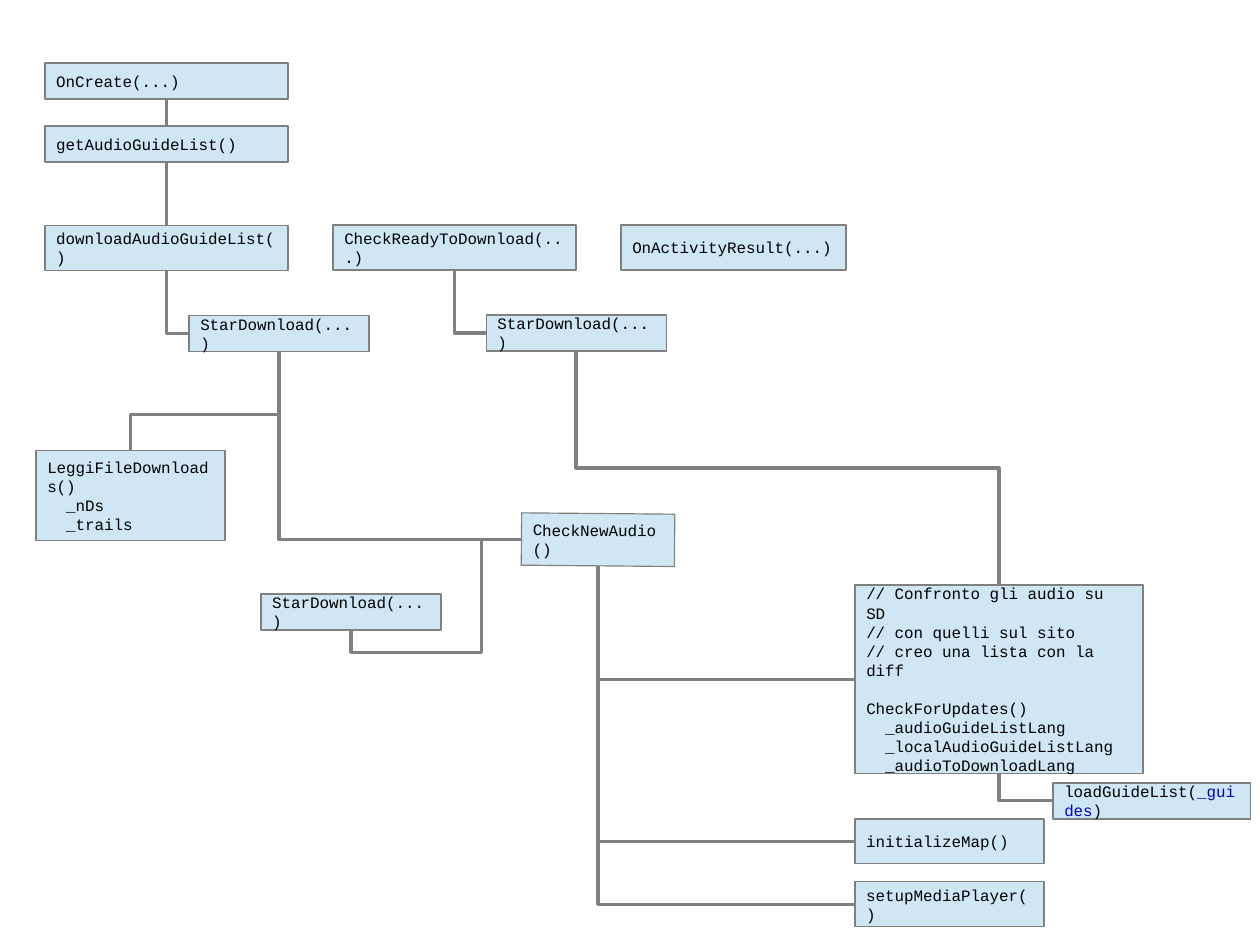
from dataclasses import dataclass
from typing import NamedTuple

from lxml import etree
from pptx import Presentation
from pptx import util as u
from pptx.dml.color import RGBColor
from pptx.enum import shapes, text
from pptx.oxml import ns

Pt = u.Pt
TOP, LEFT, BOTTOM = 0, 1, 2


@dataclass(frozen=True)
class Theme:
    """Colours, type and standard box sizes of the call graph."""
    fill: RGBColor = RGBColor(0xCF, 0xE7, 0xF5)
    line: RGBColor = RGBColor(0x80, 0x80, 0x80)
    ink: RGBColor = RGBColor(0, 0, 0)
    field: RGBColor = RGBColor(0, 0, 0xC0)
    face: str = "Courier New"
    size: int = 10
    blank_line: int = 12
    low: float = 22.7
    high: float = 28.35


THEME = Theme()


class Box(NamedTuple):
    """A rectangle in points."""
    left: float
    top: float
    width: float
    height: float

    def inner(self, dx, dy, width, height):
        """Return a rectangle offset from this one's corner."""
        return Box(self.left + dx, self.top + dy, width, height)


def add_call(slide, box, *lines, field="", gap_before=None):
    """Draw one call box with a paragraph for each line of code."""
    call = slide.shapes.add_shape(shapes.MSO_SHAPE.RECTANGLE, *map(Pt, box))
    call.shadow.inherit = False
    call.fill.solid()
    call.fill.fore_color.rgb = THEME.fill
    call.line.color.rgb = THEME.line
    call.line.width = Pt(0)
    frame = call.text_frame
    frame.word_wrap = True
    frame.vertical_anchor = text.MSO_ANCHOR.MIDDLE
    for number, code in enumerate(lines):
        paragraph = frame.add_paragraph() if number else frame.paragraphs[0]
        paragraph.alignment = text.PP_ALIGN.LEFT
        if number == gap_before:
            paragraph.space_before = Pt(THEME.blank_line)
        paragraph.font.name = THEME.face
        paragraph.font.size = Pt(THEME.size)
        paragraph.font.color.rgb = THEME.ink
        for part in code.partition(field) if field else (code,):
            run = paragraph.add_run()
            run.text = part
            if part == field:
                run.font.color.rgb = THEME.field
    return call


def add_link(slide, caller, callee, side=LEFT, bends=()):
    """Join a caller's bottom to a side of the callee, bent where needed."""
    kinds = shapes.MSO_CONNECTOR
    straight = side == TOP and not bends
    link = slide.shapes.add_connector(
        kinds.STRAIGHT if straight else kinds.ELBOW, 0, 0, 0, 0)
    link.begin_connect(caller, BOTTOM)
    link.end_connect(callee, side)
    link.line.color.rgb = THEME.line
    link.line.width = Pt(0)
    etree.SubElement(link.element.spPr, ns.qn("a:effectLst"))
    if not straight:
        bend_link(link, bends)
    return link


def bend_link(link, bends):
    """Turn an elbow so that it leaves its caller vertically."""
    dx, dy = link.end_x - link.begin_x, link.end_y - link.begin_y
    center_x = (link.begin_x + link.end_x) // 2
    center_y = (link.begin_y + link.end_y) // 2
    link.width, link.height = abs(dy), abs(dx)
    link.left = center_x - link.width // 2
    link.top = center_y - link.height // 2
    frame = link.element.spPr.find(ns.qn("a:xfrm"))
    frame.set("rot", "5400000")
    frame.set("flipH", str(int(dy < 0)))
    frame.set("flipV", str(int(dx > 0)))
    outline = link.element.spPr.find(ns.qn("a:prstGeom"))
    outline.set("prst", f"bentConnector{2 + len(bends)}")
    guides = outline.find(ns.qn("a:avLst"))
    if guides is None:
        guides = etree.SubElement(outline, ns.qn("a:avLst"))
    for number, share in enumerate(bends, 1):
        name = "adj" if len(bends) == 1 else "adj"
        guide = etree.SubElement(guides, ns.qn("a:gd"))
        guide.set("name", f"{name}{number}")
        guide.set("fmla", f"val {round(share * 100000)}")


def add_startup(slide, box):
    """Draw the start-up chain and return its download call."""
    create, get_list = (
        add_call(slide, box.inner(5.65, dy, 153.1, THEME.low), code)
        for dy, code in ((0, "OnCreate(...)"), (39.7, "getAudioGuideList()")))
    download_list = add_call(slide, box.inner(5.65, 102.3, 153.1, THEME.high),
                             "downloadAudioGuideList()")
    download = add_call(slide, box.inner(96.35, 159, 113.4, THEME.low),
                        "StarDownload(...)")
    read_file = add_call(slide, box.inner(0, 244.05, 119.05, 56.7),
                         "LeggiFileDownloads()", "  _nDs", "  _trails")
    add_link(slide, create, get_list, TOP)
    add_link(slide, get_list, download_list, TOP)
    add_link(slide, download_list, download)
    add_link(slide, download, read_file, TOP, (0.636,))
    return download


def add_ready_check(slide, box):
    """Draw the activity callbacks and return their download call."""
    ready = add_call(slide, box.inner(0, 0, 153.1, THEME.high),
                     "CheckReadyToDownload(...)")
    add_call(slide, box.inner(181.4, 0, 141.75, THEME.high),
             "OnActivityResult(...)")
    download = add_call(slide, box.inner(96.4, 56.7, 113.4, THEME.low),
                        "StarDownload(...)")
    add_link(slide, ready, download)
    return download


def add_audio_check(slide, box):
    """Draw the new-audio check with its download and return the check."""
    check = add_call(slide, box.inner(164.1, 0, 96.5, 33), "CheckNewAudio()")
    check.rotation = 0.5
    download = add_call(slide, box.inner(0, 50.7, 113.4, THEME.low),
                        "StarDownload(...)")
    add_link(slide, download, check, LEFT, (-0.249, 0.763))
    return check


def add_update_steps(slide, box):
    """Draw the steps that follow the check and return the three called."""
    updates = add_call(
        slide, box.inner(0, 0, 181.4, 119.05),
        "// Confronto gli audio su SD", "// con quelli sul sito",
        "// creo una lista con la diff", "CheckForUpdates()",
        "  _audioGuideListLang", "  _localAudioGuideListLang",
        "  _audioToDownloadLang", gap_before=3)
    load = add_call(slide, box.inner(124.7, 124.7, 124.7, THEME.low),
                    "loadGuideList(_guides)", field="_guides")
    add_link(slide, updates, load)
    setup = [add_call(slide, box.inner(0, dy, 119.05, THEME.high), code)
             for dy, code in ((147.4, "initializeMap()"),
                              (187.1, "setupMediaPlayer()"))]
    return [updates, *setup]


def build_call_graph(slide):
    """Place the four regions and the links between them."""
    first_download = add_startup(slide, Box(22.7, 39.7, 209.8, 300.8))
    second_download = add_ready_check(slide, Box(209.8, 141.75, 323.2, 79.4))
    check = add_audio_check(slide, Box(164.4, 323.5, 260.6, 73.4))
    steps = add_update_steps(slide, Box(538.6, 368.5, 249.4, 215.5))
    add_link(slide, first_download, check)
    add_link(slide, second_download, steps[0], TOP, (0.5,))
    for step in steps:
        add_link(slide, check, step)


def main():
    """Build and save the one-slide deck."""
    deck = Presentation()
    deck.slide_width, deck.slide_height = Pt(793.7), Pt(595.3)
    build_call_graph(deck.slides.add_slide(deck.slide_layouts[6]))
    deck.save("out.pptx")


if __name__ == "__main__":
    main()
